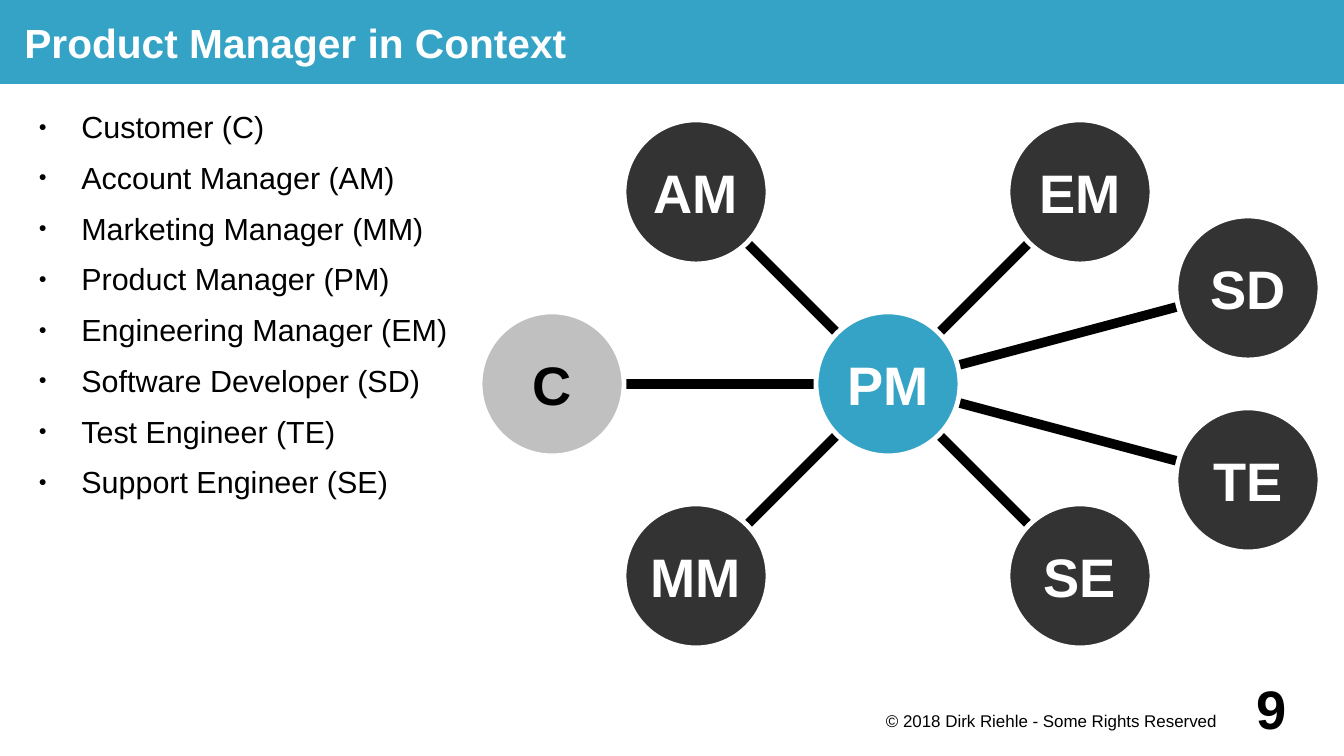
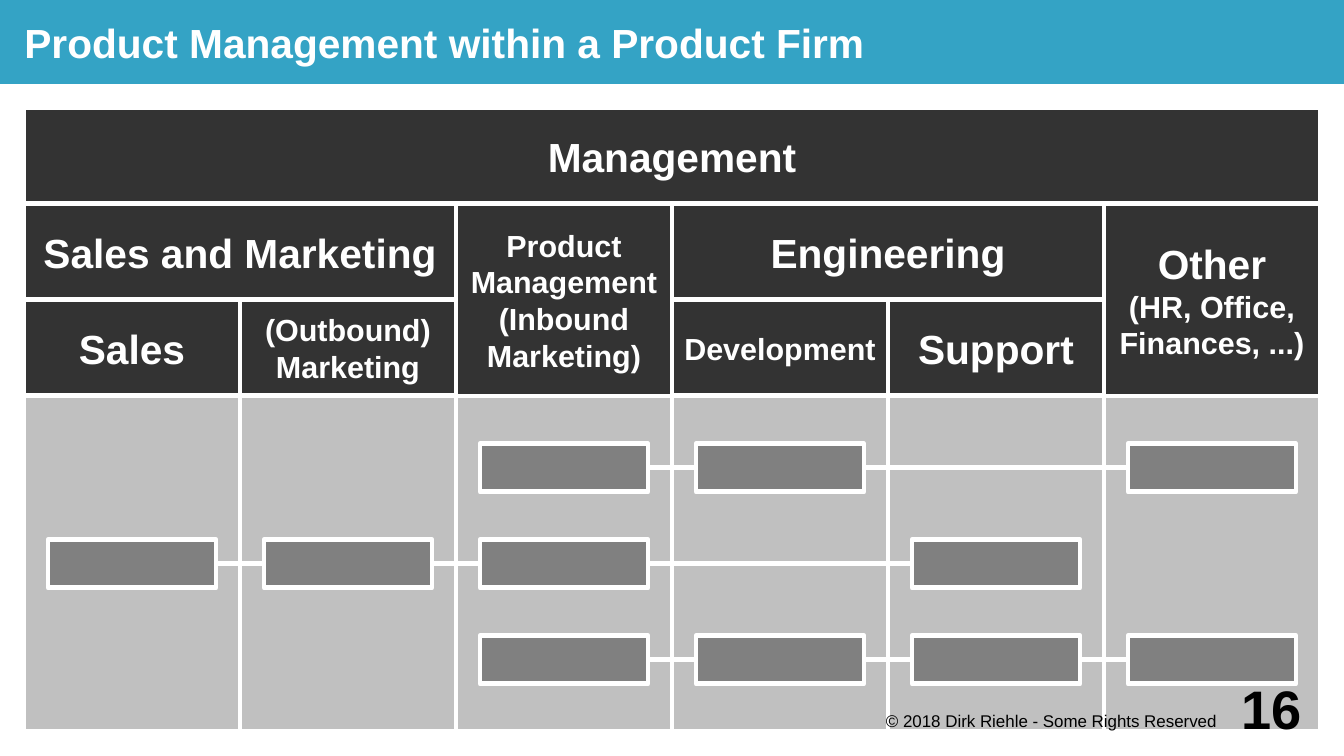
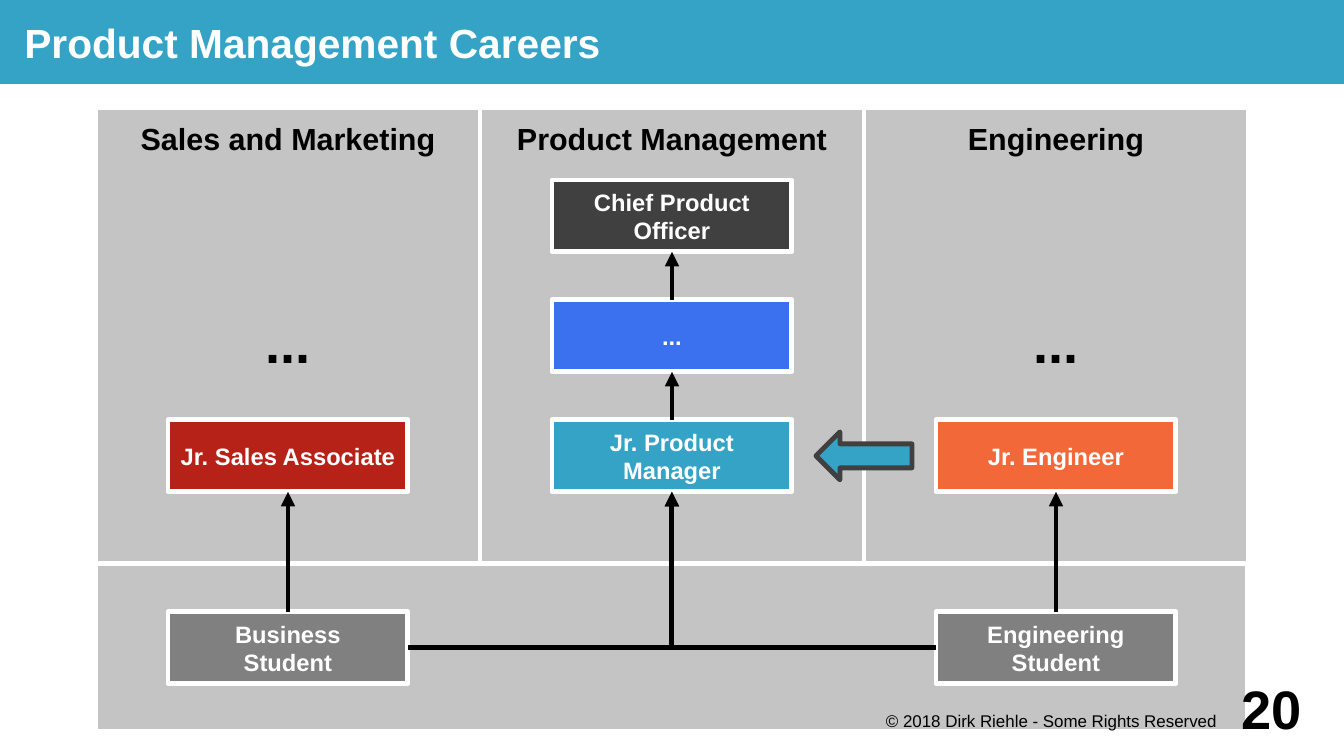
import lxml.etree
import pptx
import pptx.dml.color
import pptx.enum.shapes
import pptx.enum.text
import pptx.oxml.ns
import pptx.util
from dataclasses import dataclass

Inches, Pt = pptx.util.Inches, pptx.util.Pt
SHAPE = pptx.enum.shapes.MSO_SHAPE
CONNECTOR = pptx.enum.shapes.MSO_CONNECTOR
ANCHOR = pptx.enum.text.MSO_ANCHOR
ALIGN = pptx.enum.text.PP_ALIGN
TOP, LEFT, BOTTOM, RIGHT = range(4)


@dataclass(frozen=True)
class Theme:
    font: str = "Arial"
    accent: str = "34A3C5"
    dark: str = "333333"
    charcoal: str = "404040"
    mid: str = "808080"
    silver: str = "C0C0C0"
    panel: str = "C4C4C4"
    blue: str = "3B70EE"
    red: str = "B62118"
    orange: str = "F36838"
    white: str = "FFFFFF"
    black: str = "000000"
    huge: int = 32
    title: int = 24
    body: int = 18
    label: int = 14
    small: int = 10
    outline: float = 2.83
    spoke: float = 5.67


T = Theme()
WIDTH, HEIGHT = 11.02, 6.2
GRID = WIDTH / 56  # every position below is a number of grid steps

# Content: people around the product manager
COPYRIGHT = "© 2018 Dirk Riehle - Some Rights Reserved"
CONTEXT_TITLE = "Product Manager in Context"
ROLES = [
    "Customer (C)", "Account Manager (AM)", "Marketing Manager (MM)",
    "Product Manager (PM)", "Engineering Manager (EM)",
    "Software Developer (SD)", "Test Engineer (TE)", "Support Engineer (SE)",
]
HUB = ("PM", 37, 16, T.accent, T.white)
SPOKES = [  # label, centre x, centre y, fill, text colour
    ("C", 23, 16, T.silver, T.black),
    ("AM", 29, 8, T.dark, T.white),
    ("MM", 29, 24, T.dark, T.white),
    ("EM", 45, 8, T.dark, T.white),
    ("SE", 45, 24, T.dark, T.white),
    ("SD", 52, 12, T.dark, T.white),
    ("TE", 52, 20, T.dark, T.white),
]

# Content: departments of a product firm
FIRM_TITLE = "Product Management within a Product Firm"
DEPARTMENTS = [  # text, first column, columns, first row, rows, sizes
    ("Management", 0, 6, 0, 1, [T.title]),
    ("Sales and Marketing", 0, 2, 1, 1, [T.title]),
    ("Product\nManagement\n(Inbound\nMarketing)", 2, 1, 1, 2, [T.body]),
    ("Engineering", 3, 2, 1, 1, [T.title]),
    ("Other\n(HR, Office, Finances, ...)", 5, 1, 1, 2, [T.title, T.body]),
    ("Sales", 0, 1, 2, 1, [T.title]),
    ("(Outbound)\nMarketing", 1, 1, 2, 1, [T.body]),
    ("Development", 3, 1, 2, 1, [T.body]),
    ("Support", 4, 1, 2, 1, [T.title]),
]
TEAMS = [(2, 3, 5), (0, 1, 2, 4), (2, 3, 4, 5)]  # columns with a member

# Content: career steps
CAREER_TITLE = "Product Management Careers"
TRACKS = ["Sales and Marketing", "Product Management", "Engineering"]
STEPS = {  # name: text, track, top, fill
    "chief": ("Chief Product Officer", 1, 7.5, T.charcoal),
    "middle": ("...", 1, 12.5, T.blue),
    "manager": ("Jr. Product Manager", 1, 17.5, T.accent),
    "sales": ("Jr. Sales Associate", 0, 17.5, T.red),
    "engineer": ("Jr. Engineer", 2, 17.5, T.orange),
    "business": ("Business\nStudent", 0, 25.5, T.mid),
    "technical": ("Engineering\nStudent", 2, 25.5, T.mid),
}
PROMOTIONS = [("business", "sales"), ("technical", "engineer"),
              ("manager", "middle"), ("middle", "chief")]
ENTRIES = [("business", RIGHT), ("technical", LEFT)]


def grid(*steps):
    return [Inches(s * GRID) for s in steps]


def rgb(color):
    return pptx.dml.color.RGBColor.from_string(color)


def sub(parent, tag, **attrs):
    return lxml.etree.SubElement(parent, pptx.oxml.ns.qn(tag), attrs)


def write(tf, text, sizes, color=T.black, bold=True, align=ALIGN.CENTER,
          anchor=ANCHOR.MIDDLE, inset=(0, 0, 0, 0), wrap=True, after=0):
    """Write one paragraph per line; the last size holds for the rest."""
    tf.auto_size = pptx.enum.text.MSO_AUTO_SIZE.NONE
    tf.word_wrap, tf.vertical_anchor = wrap, anchor
    (tf.margin_left, tf.margin_top,
     tf.margin_right, tf.margin_bottom) = [Inches(i) for i in inset]
    for i, line in enumerate(text.split("\n")):
        p = tf.paragraphs[0] if i == 0 else tf.add_paragraph()
        p.alignment, p.space_before, p.space_after = align, Pt(0), Pt(after)
        r = p.add_run()
        r.text = line
        r.font.name, r.font.size = T.font, Pt(sizes[min(i, len(sizes) - 1)])
        r.font.bold, r.font.color.rgb = bold, rgb(color)


def add_box(slide, x, y, w, h, fill, kind=SHAPE.RECTANGLE, line=T.white):
    sp = slide.shapes.add_shape(kind, *grid(x, y, w, h))
    sp.shadow.inherit = False
    sp.fill.solid()
    sp.fill.fore_color.rgb = rgb(fill)
    sp.line.color.rgb, sp.line.width = rgb(line), Pt(T.outline)
    return sp


def add_label(slide, x, y, w, h, text, size, **fmt):
    sp = slide.shapes.add_textbox(*grid(x, y, w, h))
    write(sp.text_frame, text, [size], **fmt)


def add_line(slide, start=(0, 0), end=(0, 0), color=T.black, width=T.outline,
             arrow=False, kind=CONNECTOR.STRAIGHT):
    c = slide.shapes.add_connector(kind, *grid(*start, *end))
    c.line.color.rgb, c.line.width = rgb(color), Pt(width)
    if arrow:
        sub(c.line._get_or_add_ln(), "a:tailEnd", type="triangle")
    sub(c._element.spPr, "a:effectLst")
    return c


def join(c, start, start_side, end, end_side):
    c.begin_connect(start, start_side)
    c.end_connect(end, end_side)


def new_slide(prs, title, layout=5):
    """Add a slide with the title band."""
    slide = prs.slides.add_slide(prs.slide_layouts[layout])
    sp = slide.shapes.title
    sp.left, sp.top, sp.width, sp.height = grid(0, 0, 56, 3.5)
    sp.fill.solid()
    sp.fill.fore_color.rgb = rgb(T.accent)
    write(sp.text_frame, title, [T.title], color=T.white, align=ALIGN.LEFT,
          inset=(0.2, 0, 0, 0))
    return slide


def add_footer(slide, number):
    add_label(slide, 36, 29.5, 16, 1.5, COPYRIGHT, T.small, bold=False,
              anchor=ANCHOR.TOP, inset=(0, 0.02, 0.08, 0))
    add_label(slide, 51, 28, 4, 3, str(number), T.huge)


def build_context(prs):
    slide = new_slide(prs, CONTEXT_TITLE, layout=1)

    # Role list
    body = slide.placeholders[1]
    body.left, body.top, body.width, body.height = grid(1, 4.5, 54, 22.5)
    write(body.text_frame, "\n".join(ROLES), [T.body], bold=False,
          align=ALIGN.LEFT, anchor=ANCHOR.TOP, after=8.4)
    for p in body.text_frame.paragraphs:
        pPr = p._p.get_or_add_pPr()
        pPr.set("marL", str(Inches(0.47)))
        pPr.set("indent", str(Inches(-0.35)))
        sub(sub(pPr, "a:buClr"), "a:srgbClr", val=T.black)
        sub(pPr, "a:buSzPct", val="45000")
        sub(pPr, "a:buFont", typeface=T.font)
        sub(pPr, "a:buChar", char="●")

    # Spokes run between centres, beneath the circles
    for _, x, y, _, _ in SPOKES:
        add_line(slide, HUB[1:3], (x, y), width=T.spoke)
    for text, x, y, fill, color in [HUB] + SPOKES:
        sp = add_box(slide, x - 3, y - 3, 6, 6, fill, SHAPE.OVAL)
        write(sp.text_frame, text, [T.huge], color=color, inset=(0.08,) * 4,
              wrap=False)
    add_footer(slide, 9)


def build_firm(prs):
    slide = new_slide(prs, FIRM_TITLE)
    left, top, col_w, row_h = 1, 4.5, 9, 4

    # Columns and department headers
    for col in range(6):
        add_box(slide, left + col * col_w, top + 3 * row_h, col_w, 14,
                T.silver)
    for text, col, cols, row, rows, sizes in DEPARTMENTS:
        sp = add_box(slide, left + col * col_w, top + row * row_h,
                     cols * col_w, rows * row_h, T.dark)
        write(sp.text_frame, text, sizes, color=T.white,
              inset=(0.12, 0.07, 0.12, 0.07), wrap=len(sizes) > 1)

    # Teams across departments
    for i, cols in enumerate(TEAMS):
        y = 18.5 + i * row_h
        xs = [left + 1 + col * col_w for col in cols]
        add_line(slide, (xs[0] + 3.5, y + 1), (xs[-1] + 3.5, y + 1), T.white)
        for x in xs:
            add_box(slide, x, y, 7, 2, T.mid)
    add_footer(slide, 16)


def build_careers(prs):
    slide = new_slide(prs, CAREER_TITLE)
    left, track_w = 4, 16

    # Track panels
    add_box(slide, left, 23.5, 3 * track_w, 7, T.panel)
    for i, track in enumerate(TRACKS):
        sp = add_box(slide, left + i * track_w, 4.5, track_w, 19, T.panel)
        write(sp.text_frame, track, [T.body], anchor=ANCHOR.TOP,
              inset=(0.08, 0.1, 0.08, 0.08), wrap=False)
    for i in (0, 2):
        add_label(slide, left + 3 + i * track_w, 12.5, 10, 5, "...", T.huge,
                  anchor=ANCHOR.TOP, inset=(0.09, 0.08, 0.09, 0.04))

    # Career steps
    boxes = {}
    for name, (text, track, y, fill) in STEPS.items():
        sp = add_box(slide, left + 3 + track * track_w, y, 10, 3, fill)
        write(sp.text_frame, text, [T.label], color=T.white,
              inset=(0.08,) * 4)
        boxes[name] = sp

    # Promotions, entries into product management, and the side move
    for start, end in PROMOTIONS:
        join(add_line(slide, arrow=True), boxes[start], TOP,
             boxes[end], BOTTOM)
    for start, side in ENTRIES:
        c = add_line(slide, arrow=True, kind=CONNECTOR.ELBOW)
        c._element.spPr.prstGeom.set("prst", "bentConnector2")
        join(c, boxes[start], side, boxes["manager"], BOTTOM)
    add_box(slide, 34, 18, 4, 2, T.accent, SHAPE.LEFT_ARROW, T.charcoal)
    add_footer(slide, 20)


def main():
    prs = pptx.Presentation()
    prs.slide_width, prs.slide_height = Inches(WIDTH), Inches(HEIGHT)
    build_context(prs)
    build_firm(prs)
    build_careers(prs)
    prs.save("out.pptx")


if __name__ == "__main__":
    main()
